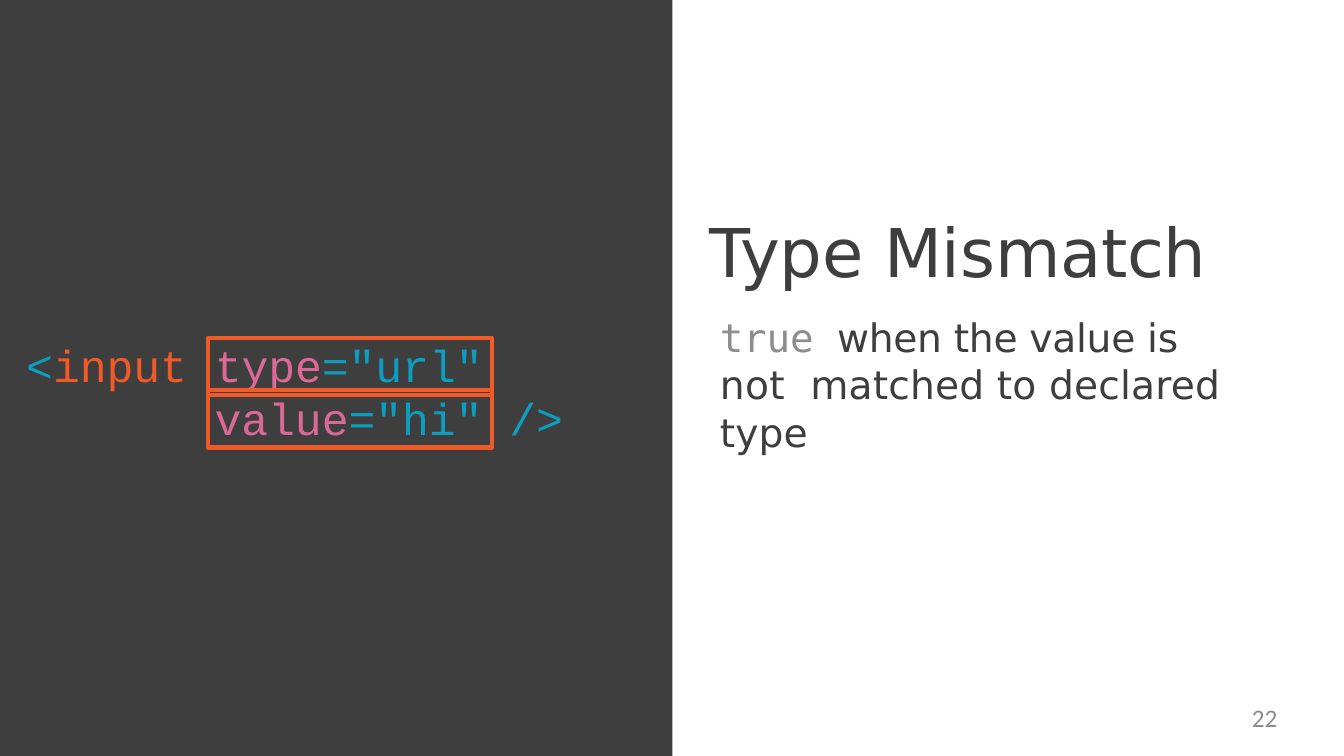
from pptx import Presentation
from pptx.dml.color import RGBColor
from pptx.enum.shapes import MSO_SHAPE
from pptx.enum.text import PP_ALIGN
from pptx.util import Inches, Pt

CHARCOAL = RGBColor(0x3E, 0x3E, 0x3E)
BLUE = RGBColor(0x0C, 0x9D, 0xBF)
ORANGE = RGBColor(0xF0, 0x5A, 0x28)
PINK = RGBColor(0xDA, 0x69, 0x97)
LIGHT_GRAY = RGBColor(0x8D, 0x8D, 0x8D)
NUMBER_GRAY = RGBColor(0x8C, 0x8C, 0x8C)

CODE, SANS, MONO = "Courier New", "DejaVu Sans", "DejaVu Sans Mono"


class SlideBuilder:
    """Holds the style and the current slide."""

    def __init__(self, slide):
        self.slide = slide

    def rect(self, x, y, w, h, fill=None, line=None):
        sp = self.slide.shapes.add_shape(
            MSO_SHAPE.RECTANGLE, Inches(x), Inches(y), Inches(w), Inches(h))
        sp.shadow.inherit = False
        if fill is None:
            sp.fill.background()
        else:
            sp.fill.solid()
            sp.fill.fore_color.rgb = fill
        if line is None:
            sp.line.fill.background()
        else:
            sp.line.color.rgb = line
            sp.line.width = Pt(3)

    def text(self, x, y, w, h, size, runs, indent=0.01, top=0.01,
             before=1, spacing=None, align=None):
        """Each run is (text, font, colour, letter spacing in points)."""
        sp = self.slide.shapes.add_textbox(
            Inches(x), Inches(y), Inches(w), Inches(h))
        tf = sp.text_frame
        tf.word_wrap = True
        tf.margin_left, tf.margin_top = Inches(indent), Inches(top)
        tf.margin_right = tf.margin_bottom = 0
        p = tf.paragraphs[0]
        p.space_before = Pt(before)
        p.line_spacing = spacing
        p.alignment = align
        for words, font, color, tracking in runs:
            r = p.add_run()
            r.text = words
            r.font.name = font
            r.font.size = Pt(size)
            r.font.color.rgb = color
            r.font._element.set("spc", str(round(tracking * 100)))

    def code(self, x, y, w, parts, indent=0.05):
        runs = [(words, CODE, color, -0.1) for words, color in parts]
        self.text(x, y, w, 0.56, 32, runs, indent=indent)


prs = Presentation()
prs.slide_width, prs.slide_height = Inches(13.33), Inches(7.5)
s = SlideBuilder(prs.slides.add_slide(prs.slide_layouts[6]))

# Dark code panel
s.rect(0, 0, 6.67, 7.5, fill=CHARCOAL)

# Code, with each attribute on its own line
s.code(0.25, 3.34, 1.63, [("<", BLUE), ("input", ORANGE)], indent=0.01)
attributes = [
    (3.34, 2.78, "type", '="url"'),
    (3.87, 3.54, "value", '="hi" />'),
]
for y, w, name, value in attributes:
    s.code(2.08, y, w, [(name, PINK), (value, BLUE)])

# Title and explanation
s.text(7.03, 2.08, 4.98, 0.83, 48, [("Type Mismatch", SANS, CHARCOAL, -0.2)])
s.text(7.13, 3.09, 5.1, 0.97, 28, [
    ("true ", MONO, LIGHT_GRAY, -0.1),
    ("when the value is ", SANS, CHARCOAL, -0.2),
    ("not", SANS, CHARCOAL, 0.3),
    (" ", SANS, CHARCOAL, 9),
    ("matched to declared type", SANS, CHARCOAL, 0.15),
], before=0.6, spacing=1.01)

# Attribute outlines
for y in (3.35, 3.87):
    s.rect(2.06, y, 2.82, 0.57, line=ORANGE)

# Slide number
s.text(9.6, 6.97, 3.07, 0.38, 18, [("22", "Calibri", NUMBER_GRAY, 0)],
       indent=0, top=0, before=0, align=PP_ALIGN.RIGHT)

prs.save("out.pptx")
